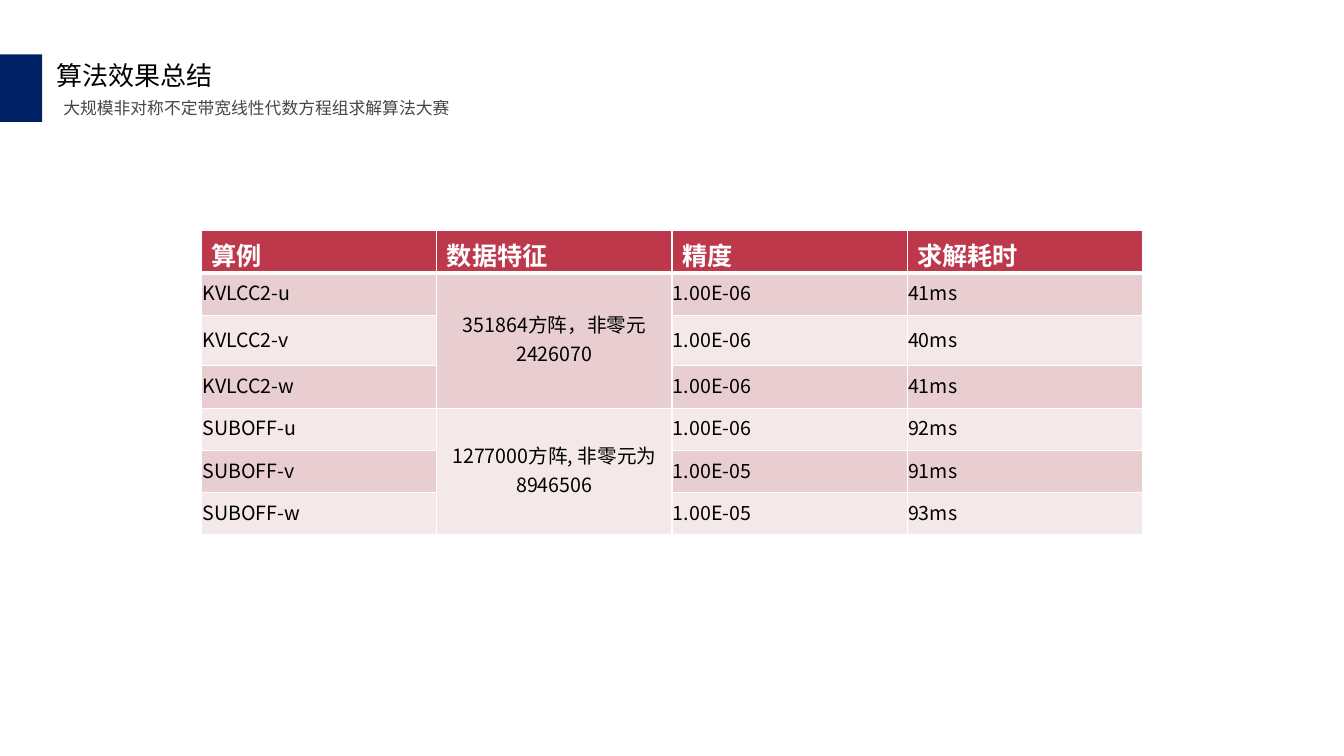
"""Build the slide that sums up the solver's results in a table."""
from lxml import etree
from pptx import Presentation
from pptx.dml.color import RGBColor
from pptx.enum.shapes import MSO_SHAPE
from pptx.enum.text import MSO_ANCHOR, MSO_AUTO_SIZE, PP_ALIGN
from pptx.oxml.ns import qn
from pptx.util import Inches, Pt

RECTANGLE = MSO_SHAPE.RECTANGLE
TOP, MIDDLE = MSO_ANCHOR.TOP, MSO_ANCHOR.MIDDLE
GROW = MSO_AUTO_SIZE.SHAPE_TO_FIT_TEXT
LEFT, CENTER = PP_ALIGN.LEFT, PP_ALIGN.CENTER

COLORS = {
    "navy": "002064", "black": "000000", "gray": "464646", "white": "FFFFFF",
    "header": "BE384B", "dark_band": "E8CED0", "light_band": "F4E8E9",
}
HEADERS = ["算例", "数据特征", "精度", "求解耗时"]
CASES = [
    ("KVLCC2-u", "351864方阵，非零元2426070", "1.00E-06", "41ms"),
    ("KVLCC2-v", "", "1.00E-06", "40ms"),
    ("KVLCC2-w", "", "1.00E-06", "41ms"),
    ("SUBOFF-u", "1277000方阵, 非零元为8946506", "1.00E-06", "92ms"),
    ("SUBOFF-v", "", "1.00E-05", "91ms"),
    ("SUBOFF-w", "", "1.00E-05", "93ms"),
]
ROW_HEIGHTS = [0.42, 0.42, 0.5, 0.42, 0.42, 0.42, 0.42]
CELL_MARGINS = {"margin_left": 0.01, "margin_top": 0.01,
                "margin_right": 0.01, "margin_bottom": 0.05}


def write_text(frame, text, color, align=LEFT, **font_format):
    """Fill the first paragraph with one formatted run."""
    para = frame.paragraphs[0]
    para.alignment = align
    span = para.add_run()
    span.text = text
    span.font.color.rgb = RGBColor.from_string(COLORS[color])
    for name, value in font_format.items():
        setattr(span.font, name, value)


def style_cell(cell, fill, bottom_width):
    """Give a cell its fill and white borders."""
    cell.fill.solid()
    cell.fill.fore_color.rgb = RGBColor.from_string(COLORS[fill])
    properties = cell._tc.get_or_add_tcPr()
    for index, side in enumerate(["lnL", "lnR", "lnT", "lnB"]):
        width = Pt(bottom_width if side == "lnB" else 1)
        border = etree.Element(qn(f"a:{side}"), w=str(width))
        paint = etree.SubElement(border, qn("a:solidFill"))
        etree.SubElement(paint, qn("a:srgbClr"), val=COLORS["white"])
        properties.insert(index, border)


deck = Presentation()
deck.slide_width, deck.slide_height = Inches(13.33), Inches(7.5)
page = deck.slides.add_slide(deck.slide_layouts[5])

title = page.shapes.title
subtitle = page.shapes.add_textbox(Inches(0.53), Inches(0.92), Inches(4.03), Inches(0.3))
title.left, title.top, title.width, title.height = map(Inches, (-0.04, 0.54, 2.26, 0.41))
for box in (title, subtitle):
    box.text_frame.word_wrap = False
    box.text_frame.auto_size = GROW
    box.text_frame.vertical_anchor = TOP
write_text(title.text_frame, "算法效果总结", "black", size=Pt(18.6), name="Arial")
title.text_frame.paragraphs[0]._p.get_or_add_pPr().set("indent", str(Inches(0.5)))
write_text(subtitle.text_frame, "大规模非对称不定带宽线性代数方程组求解算法大赛",
           "gray", size=Pt(12), name="Arial")

marker = page.shapes.add_shape(RECTANGLE, Inches(-0.04), Inches(0.54), Inches(0.46), Inches(0.67))
marker.shadow.inherit = False
marker.fill.solid()
marker.fill.fore_color.rgb = RGBColor.from_string(COLORS["navy"])
marker.line.fill.background()

table = page.shapes.add_table(len(CASES) + 1, len(HEADERS), Inches(2), Inches(2.29),
                              Inches(9.33), Inches(sum(ROW_HEIGHTS))).table
for row, height in zip(table.rows, ROW_HEIGHTS):
    row.height = Inches(height)

for column, heading in enumerate(HEADERS):
    cell = table.cell(0, column)
    write_text(cell.text_frame, heading, "white", size=Pt(18), name="Arial", bold=True)
    style_cell(cell, "header", 3)

for row_number, case in enumerate(CASES, start=1):
    band = "dark_band" if row_number % 2 else "light_band"
    for column, text in enumerate(case):
        cell = table.cell(row_number, column)
        cell.vertical_anchor = MIDDLE
        for name, value in CELL_MARGINS.items():
            setattr(cell, name, Inches(value))
        if text:
            write_text(cell.text_frame, text, "black", CENTER if column == 1 else LEFT,
                       size=Pt(14), name="Noto Sans CJK SC", bold=False)
        style_cell(cell, band, 1)

for first_row in (1, 4):
    table.cell(first_row, 1).merge(table.cell(first_row + 2, 1))

deck.save("out.pptx")
